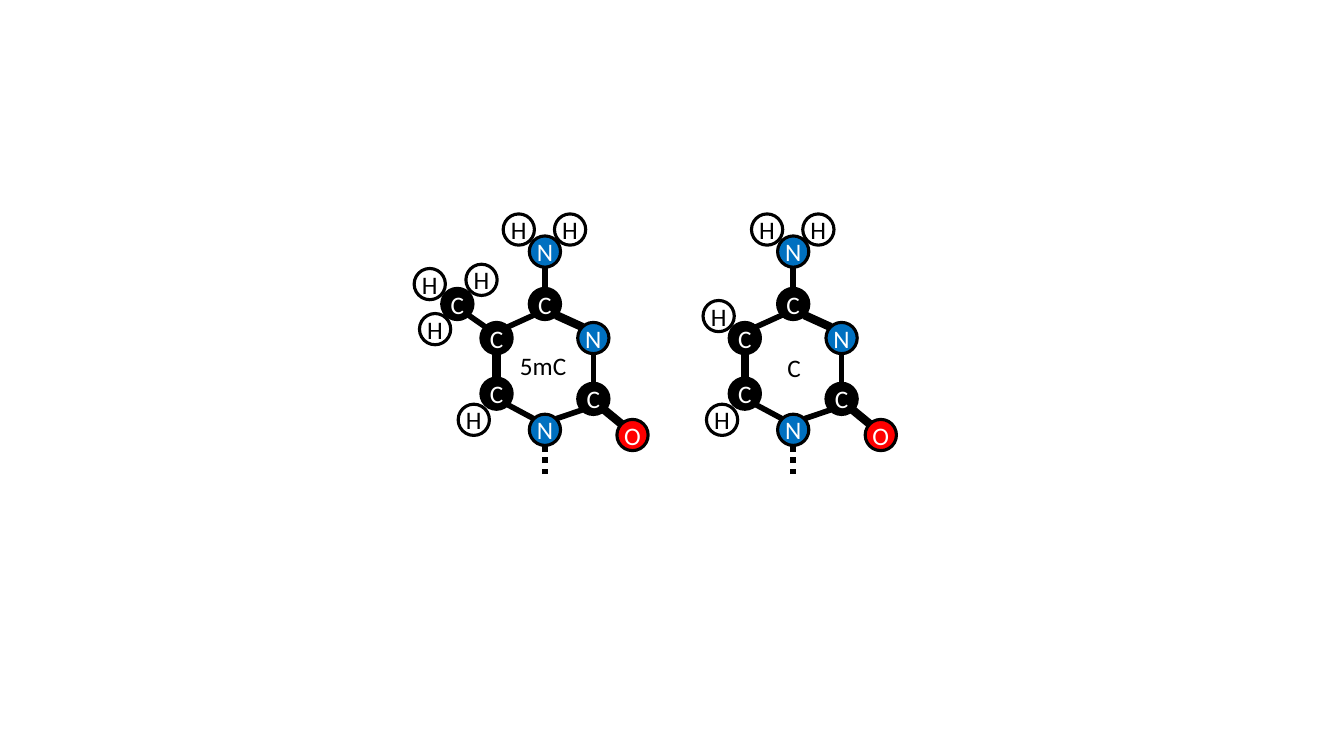
"""Draw 5-methylcytosine beside cytosine as ball-and-stick diagrams."""
import math
from dataclasses import dataclass
from typing import NamedTuple

import pptx
import pptx.dml.color
import pptx.enum.dml
import pptx.enum.shapes
import pptx.enum.text
import pptx.oxml
import pptx.oxml.ns
import pptx.presentation
import pptx.shapes.connector
import pptx.slide
import pptx.text.text
import pptx.util

COLUMN, ROW = 0.48, 0.52
ATOM_SIZE = 0.31


@dataclass(frozen=True)
class Theme:
    font: str = "Calibri"
    size: int = 18
    ink: str = "000000"
    paper: str = "FFFFFF"
    outline: float = 2.25
    single: int = 4
    double: int = 6


THEME = Theme()
ELEMENTS = {
    "C": (THEME.ink, THEME.paper),
    "H": (THEME.paper, THEME.ink),
    "N": ("0070C0", THEME.paper),
    "O": ("FF0000", THEME.paper),
}


class Point(NamedTuple):
    col: float
    row: float


class Bond(NamedTuple):
    start: str
    end: str
    weight: int = THEME.single


@dataclass(frozen=True)
class Label:
    text: str
    corner: Point
    width: float
    align: pptx.enum.text.PP_ALIGN


@dataclass(frozen=True)
class Molecule:
    origin: Point
    atoms: dict[str, Point]
    bonds: list[Bond]
    label: Label


BASE_ATOMS = {
    "O2": Point(1.81, 3.5),
    "C4": Point(0, 1),
    "N3": Point(1, 1.65),
    "C5": Point(-1, 1.65),
    "C6": Point(-1, 2.71),
    "C2": Point(1, 2.81),
    "N1": Point(0, 3.4),
    "N4": Point(0, 0),
    "H6": Point(-1.47, 3.21),
    "H4 right": Point(0.52, -0.42),
    "H4 left": Point(-0.54, -0.42),
}
METHYL_ATOMS = {
    "C7": Point(-1.81, 1),
    "H7 right": Point(-1.31, 0.54),
    "H7 left": Point(-2.38, 0.62),
    "H7 low": Point(-2.27, 1.48),
}
BASE_BONDS = [
    Bond("C5", "C6", THEME.double),
    Bond("C4", "N3", THEME.double),
    Bond("C2", "O2", THEME.double),
    Bond("C6", "N1"),
    Bond("N1", "C2"),
    Bond("C5", "C4"),
    Bond("C2", "N3"),
    Bond("C4", "N4"),
]
MOLECULES = [
    Molecule(
        Point(11.26, 4.8),
        BASE_ATOMS | METHYL_ATOMS,
        BASE_BONDS + [Bond("C5", "C7")],
        Label("5mC", Point(-0.72, 1.78), 1.77, pptx.enum.text.PP_ALIGN.LEFT),
    ),
    Molecule(
        Point(16.39, 4.8),
        {"H5": Point(-1.54, 1.23)} | BASE_ATOMS,
        BASE_BONDS,
        Label("C", Point(-0.47, 1.82), 0.98, pptx.enum.text.PP_ALIGN.CENTER),
    ),
]


def place(origin: Point, offset: Point) -> tuple[float, float]:
    """Return the position in inches of a grid offset from an origin."""
    return (origin.col + offset.col) * COLUMN, (origin.row + offset.row) * ROW


def rgb(value: str) -> pptx.dml.color.RGBColor:
    """Return the colour for a hex value."""
    return pptx.dml.color.RGBColor.from_string(value)


def inches(*lengths: float) -> list[pptx.util.Length]:
    """Convert lengths in inches."""
    return [pptx.util.Inches(length) for length in lengths]


def write(tf: pptx.text.text.TextFrame, text: str, color: str,
          align: pptx.enum.text.PP_ALIGN) -> None:
    """Set and format one line of text."""
    tf.text = text
    p = tf.paragraphs[0]
    p.alignment = align
    r = p.runs[0]
    r.font.name = THEME.font
    r.font.size = pptx.util.Pt(THEME.size)
    r.font.color.rgb = rgb(color)


def draw_atom(slide: pptx.slide.Slide, element: str, x: float, y: float) -> None:
    """Draw a lettered circle centred on a point."""
    fill, ink = ELEMENTS[element]
    half = ATOM_SIZE / 2
    sp = slide.shapes.add_shape(
        pptx.enum.shapes.MSO_SHAPE.OVAL,
        *inches(x - half, y - half, ATOM_SIZE, ATOM_SIZE))
    sp.shadow.inherit = False
    sp.fill.solid()
    sp.fill.fore_color.rgb = rgb(fill)
    sp.line.color.rgb = rgb(THEME.ink)
    sp.line.width = pptx.util.Pt(THEME.outline)
    tf = sp.text_frame
    tf.margin_left = tf.margin_right = tf.margin_top = tf.margin_bottom = 0
    tf.word_wrap = False
    tf.vertical_anchor = pptx.enum.text.MSO_ANCHOR.MIDDLE
    write(tf, element, ink, pptx.enum.text.PP_ALIGN.CENTER)


def draw_line(slide: pptx.slide.Slide, x1: float, y1: float, x2: float, y2: float,
              weight: int) -> pptx.shapes.connector.Connector:
    """Draw a plain straight line."""
    line = slide.shapes.add_connector(
        pptx.enum.shapes.MSO_CONNECTOR.STRAIGHT, *inches(x1, y1, x2, y2))
    line.line.color.rgb = rgb(THEME.ink)
    line.line.width = pptx.util.Pt(weight)
    sppr = line._element.spPr
    sppr.append(sppr.makeelement(pptx.oxml.ns.qn("a:effectLst"), {}))
    return line


def draw_bond(slide: pptx.slide.Slide, molecule: Molecule, bond: Bond) -> None:
    """Join the facing rims of two atoms, straight or at 45 degrees."""
    start, end = molecule.atoms[bond.start], molecule.atoms[bond.end]
    x1, y1 = place(molecule.origin, start)
    x2, y2 = place(molecule.origin, end)
    dx = 0 if start.col == end.col else math.copysign(1, x2 - x1)
    dy = math.copysign(1, y2 - y1)
    reach = ATOM_SIZE / 2 / math.hypot(dx, dy)
    draw_line(slide, x1 + dx * reach, y1 + dy * reach,
              x2 - dx * reach, y2 - dy * reach, bond.weight)


def draw_molecule(slide: pptx.slide.Slide, molecule: Molecule) -> None:
    """Draw the atoms, bonds, open bond and label of a molecule."""
    for name, point in molecule.atoms.items():
        draw_atom(slide, name[0], *place(molecule.origin, point))
    for bond in molecule.bonds:
        draw_bond(slide, molecule, bond)
    x, y = place(molecule.origin, molecule.atoms["N1"])
    rim = y + ATOM_SIZE / 2
    tail = draw_line(slide, x, rim + 0.55 * ROW, x, rim, THEME.single)
    tail.line.dash_style = pptx.enum.dml.MSO_LINE.ROUND_DOT
    label = molecule.label
    box = slide.shapes.add_textbox(*inches(
        *place(molecule.origin, label.corner), label.width * COLUMN, 0.77 * ROW))
    box.text_frame.word_wrap = True
    box.text_frame.auto_size = pptx.enum.text.MSO_AUTO_SIZE.SHAPE_TO_FIT_TEXT
    write(box.text_frame, label.text, THEME.ink, label.align)


def main() -> None:
    """Build and save the slide."""
    prs = pptx.Presentation()
    prs.slide_width, prs.slide_height = inches(13.33, 7.5)
    slide = prs.slides.add_slide(prs.slide_layouts[6])
    for molecule in MOLECULES:
        draw_molecule(slide, molecule)
    prs.save("out.pptx")


if __name__ == "__main__":
    main()
